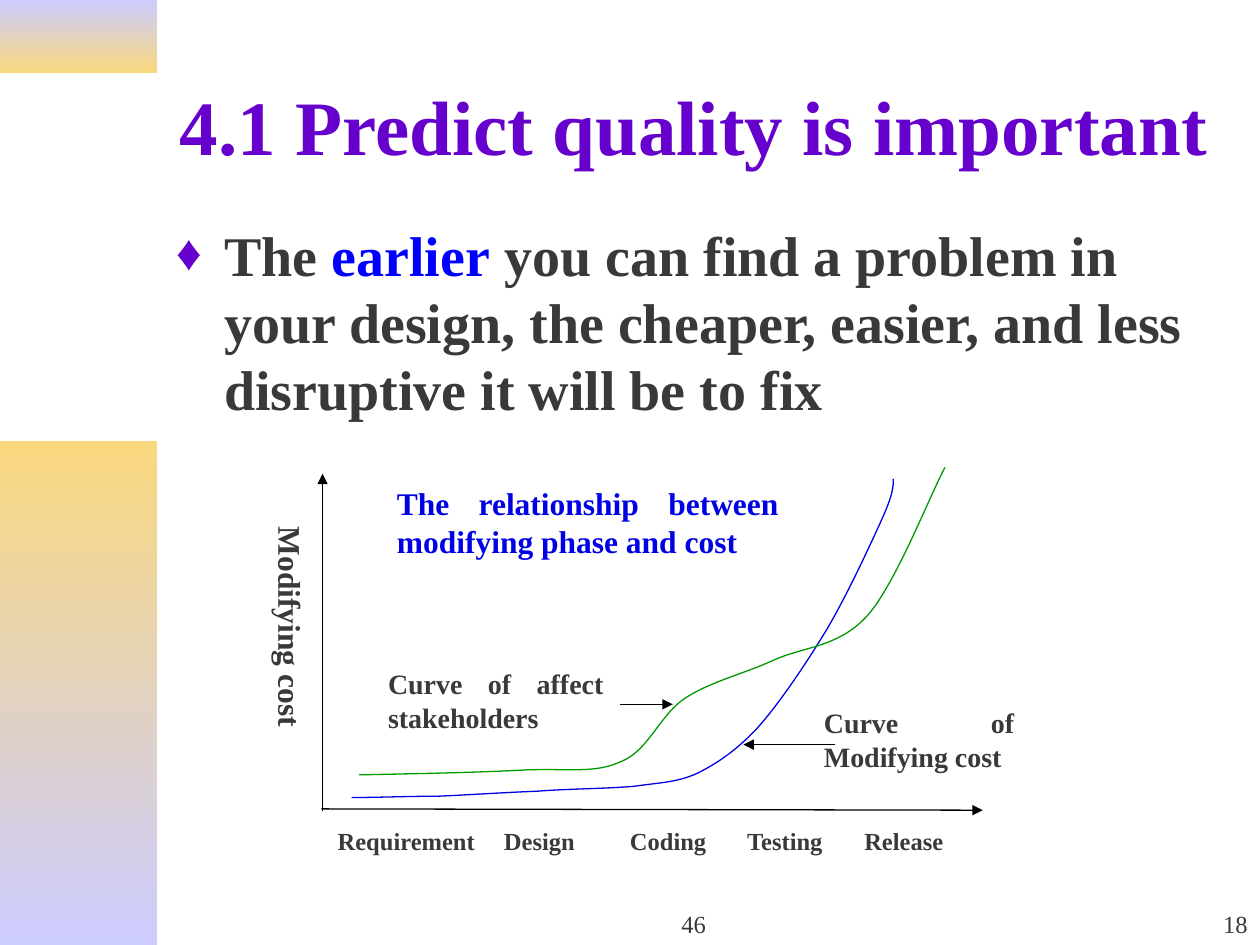
from lxml import etree
from pptx import Presentation
from pptx.dml.color import RGBColor
from pptx.enum.shapes import MSO_CONNECTOR, MSO_SHAPE
from pptx.enum.text import MSO_ANCHOR, PP_ALIGN
from pptx.oxml.ns import qn
from pptx.util import Inches, Pt

RECT, STRAIGHT = MSO_SHAPE.RECTANGLE, MSO_CONNECTOR.STRAIGHT
TOP, MIDDLE, BOTTOM = MSO_ANCHOR.TOP, MSO_ANCHOR.MIDDLE, MSO_ANCHOR.BOTTOM
LEFT, CENTER, RIGHT, JUSTIFY = (PP_ALIGN.LEFT, PP_ALIGN.CENTER,
                                PP_ALIGN.RIGHT, PP_ALIGN.JUSTIFY)
COLS, ROWS = 10, 7.5
FONT = "Times New Roman"
PURPLE, INK, BLUE, BLACK = "6600CC", "393939", "0000FF", "000000"
CURVE_BLUE, CURVE_GREEN = "0000E5", "009900"
LILAC, GOLD = "CCCCFF", "F9D87E"
WIDE, TIGHT = (0.1, 0.05, 0.1, 0.05), (0.06, 0.01, 0.06, 0.01)


def rgb(color):
    return RGBColor.from_string(color)


class Deck:
    """Style and current slide; lengths are grid columns and rows."""

    def __init__(self):
        self.prs = Presentation()
        self.prs.slide_width, self.prs.slide_height = Inches(10), Inches(7.5)
        self.s = self.prs.slides.add_slide(self.prs.slide_layouts[6])

    def x(self, cols):
        return round(self.prs.slide_width * cols / COLS)

    def y(self, rows):
        return round(self.prs.slide_height * rows / ROWS)

    def box(self, left, top, width, height):
        return self.x(left), self.y(top), self.x(width), self.y(height)

    def band(self, at, first, last):
        sp = self.s.shapes.add_shape(RECT, *self.box(*at))
        sp.shadow.inherit = False
        sp.line.fill.background()
        sp.fill.gradient()
        sp.fill.gradient_angle = 270
        for stop, color in zip(sp.fill.gradient_stops, (first, last)):
            stop.color.rgb = rgb(color)

    def text(self, at, runs, size, bold=True, align=JUSTIFY, anchor=TOP,
             insets=TIGHT):
        sp = self.s.shapes.add_textbox(*self.box(*at))
        tf = sp.text_frame
        tf.word_wrap = True
        tf.vertical_anchor = anchor
        (tf.margin_left, tf.margin_top,
         tf.margin_right, tf.margin_bottom) = map(Inches, insets)
        p = tf.paragraphs[0]
        p.alignment = align
        for words, color in runs:
            r = p.add_run()
            r.text = words
            r.font.name, r.font.size, r.font.bold = FONT, Pt(size), bold
            r.font.color.rgb = rgb(color)
        return tf

    def bullet(self, p, char, color, percent, indent):
        pPr = p._p.get_or_add_pPr()
        pPr.set("marL", str(self.x(indent)))
        pPr.set("indent", str(-self.x(indent)))
        clr = etree.SubElement(pPr, qn("a:buClr"))
        etree.SubElement(clr, qn("a:srgbClr"), val=color)
        etree.SubElement(pPr, qn("a:buSzPct"), val=str(percent * 1000))
        etree.SubElement(pPr, qn("a:buFont"), typeface=FONT)
        etree.SubElement(pPr, qn("a:buChar"), char=char)

    def arrow(self, x1, y1, x2, y2):
        c = self.s.shapes.add_connector(STRAIGHT, self.x(x1), self.y(y1),
                                        self.x(x2), self.y(y2))
        c.line.color.rgb = rgb(BLACK)
        c.line.width = Pt(0.75)
        etree.SubElement(c.line._get_or_add_ln(), qn("a:tailEnd"),
                         type="triangle")
        etree.SubElement(c._element.spPr, qn("a:effectLst"))

    def curve(self, points, color):
        """A start point, then two handles and an end point per segment."""
        start, *rest = [(self.x(a), self.y(b)) for a, b in points]
        fb = self.s.shapes.build_freeform(*start)
        fb.add_line_segments(rest, close=False)
        sp = fb.convert_to_shape()
        # Join each three line steps into one cubic segment
        steps = list(sp._element.iter(qn("a:lnTo")))
        for i in range(0, len(steps), 3):
            cubic = etree.Element(qn("a:cubicBezTo"))
            steps[i].addprevious(cubic)
            for step in steps[i:i + 3]:
                cubic.append(step[0])
                step.getparent().remove(step)
        sp.shadow.inherit = False
        sp.fill.background()
        sp.line.color.rgb = rgb(color)
        sp.line.width = Pt(0.75)


def main():
    d = Deck()

    # Side bands
    d.band((0, 0, 1.25, 0.58), LILAC, GOLD)
    d.band((0, 3.5, 1.25, 4), GOLD, LILAC)

    # Title and statement
    d.text((1.33, 0.33, 8.5, 1.32),
           [("4.1 Predict quality is important", PURPLE)], 44,
           align=LEFT, anchor=MIDDLE, insets=WIDE)
    tf = d.text((1.3, 1.7, 8.5, 2.05),
                [("The ", INK), ("earlier", BLUE),
                 (" you can find a problem in your design, the cheaper, "
                  "easier, and less disruptive it will be to fix", INK)],
                32, align=LEFT, insets=WIDE)
    d.bullet(tf.paragraphs[0], "♦", PURPLE, 90, 0.38)

    # Page numbers
    for left, width, number, align in ((3.92, 3.17, "46", CENTER),
                                       (7.92, 2.08, "18", RIGHT)):
        d.text((left, 7, width, 0.5), [(number, INK)], 14, bold=False,
               align=align, anchor=BOTTOM, insets=WIDE)

    # Axes with their labels
    d.arrow(2.55, 6.42, 7.8, 6.43)
    d.arrow(2.56, 6.44, 2.56, 3.76)
    tf = d.text((2.13, 4.06, 0.34, 1.85), [("Modifying cost", INK)], 18,
                insets=(0.01, 0.12, 0.01, 0.02))
    tf._txBody.bodyPr.set("vert", "eaVert")
    for phase, left, width in (("Requirement", 2.62, 1.32),
                               ("Design", 3.94, 0.74),
                               ("Coding", 4.94, 0.74),
                               ("Testing", 5.87, 0.74),
                               ("Release", 6.8, 0.93)):
        d.text((left, 6.55, width, 0.26), [(phase, INK)], 14)

    # Modifying cost curve
    d.curve([(2.79, 6.33),
             (3.01, 6.33), (3.22, 6.32), (3.47, 6.32),
             (3.71, 6.31), (4, 6.29), (4.26, 6.28),
             (4.52, 6.26), (4.83, 6.26), (5.04, 6.24),
             (5.25, 6.21), (5.37, 6.21), (5.53, 6.14),
             (5.69, 6.06), (5.84, 5.96), (6.01, 5.78),
             (6.18, 5.59), (6.39, 5.28), (6.56, 5),
             (6.72, 4.73), (6.91, 4.32), (7, 4.12),
             (7.09, 3.92), (7.09, 3.86), (7.09, 3.8)], CURVE_BLUE)

    # Affected stakeholders curve
    d.curve([(2.85, 6.15),
             (3.35, 6.14), (3.85, 6.13), (4.19, 6.11),
             (4.54, 6.1), (4.73, 6.14), (4.94, 6.04),
             (5.15, 5.95), (5.24, 5.67), (5.44, 5.54),
             (5.64, 5.41), (5.9, 5.35), (6.14, 5.24),
             (6.38, 5.13), (6.66, 5.14), (6.89, 4.88),
             (7.11, 4.63), (7.39, 3.91), (7.5, 3.71)], CURVE_GREEN)

    # Callouts and diagram heading
    d.text((6.48, 5.59, 1.63, 0.56), [("Curve of Modifying cost", INK)], 16)
    d.text((3.02, 5.28, 1.83, 0.64),
           [("Curve of affect stakeholders", INK)], 16)
    d.arrow(4.92, 5.59, 5.34, 5.59)
    d.arrow(6.63, 5.91, 5.9, 5.91)
    d.text((3.09, 3.83, 3.15, 0.64),
           [("The relationship between modifying phase and cost",
             CURVE_BLUE)], 18)

    d.prs.save("out.pptx")


if __name__ == "__main__":
    main()
